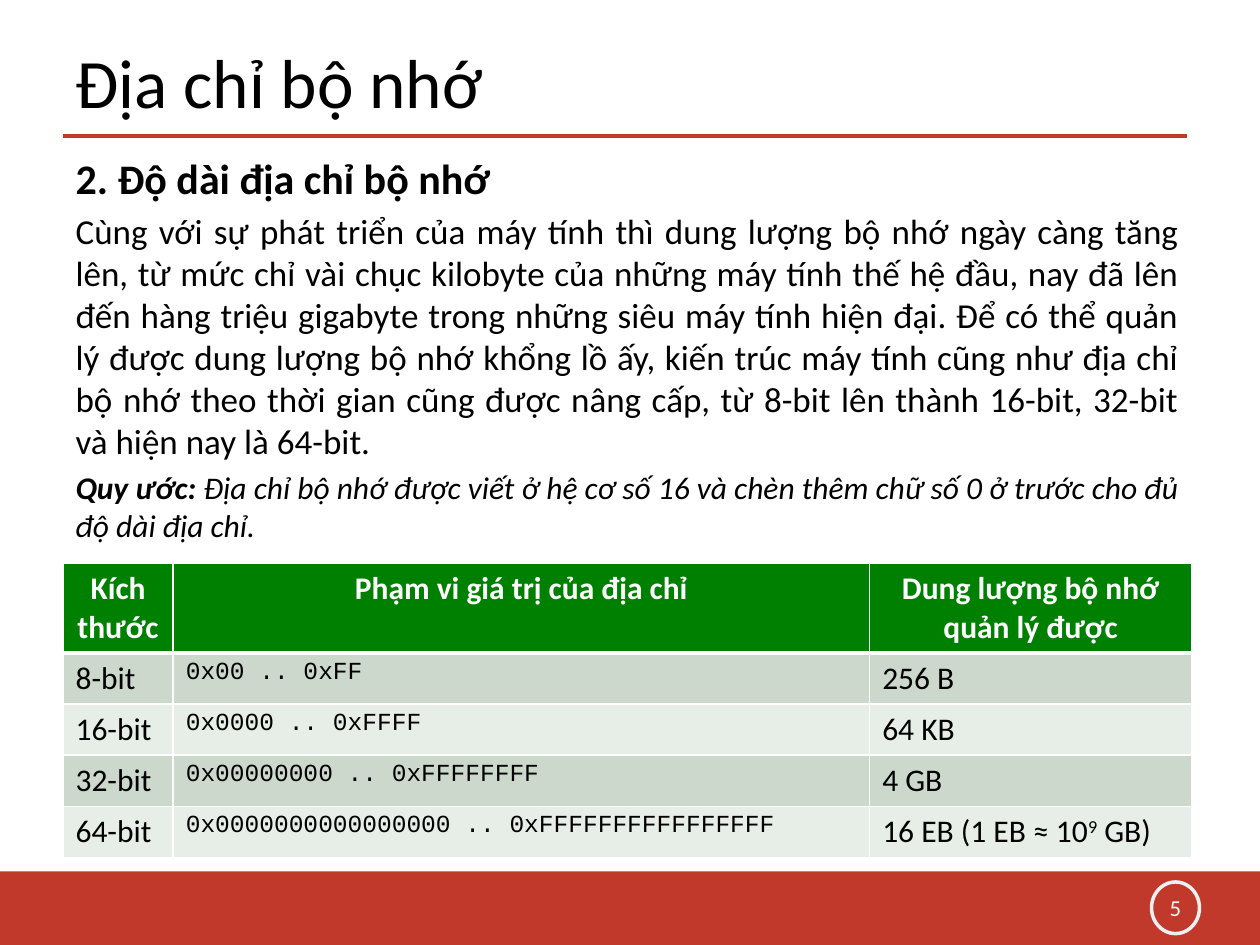
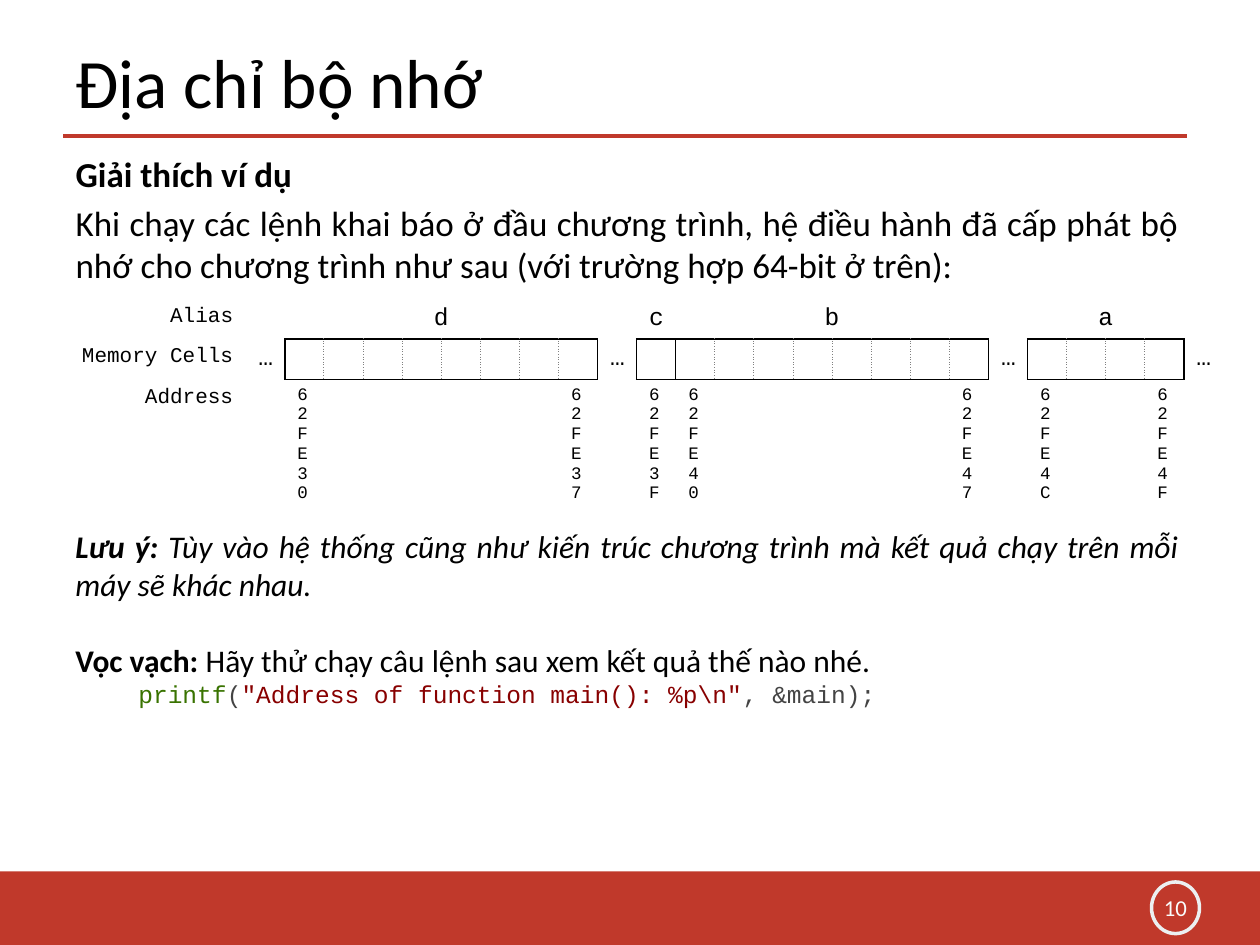
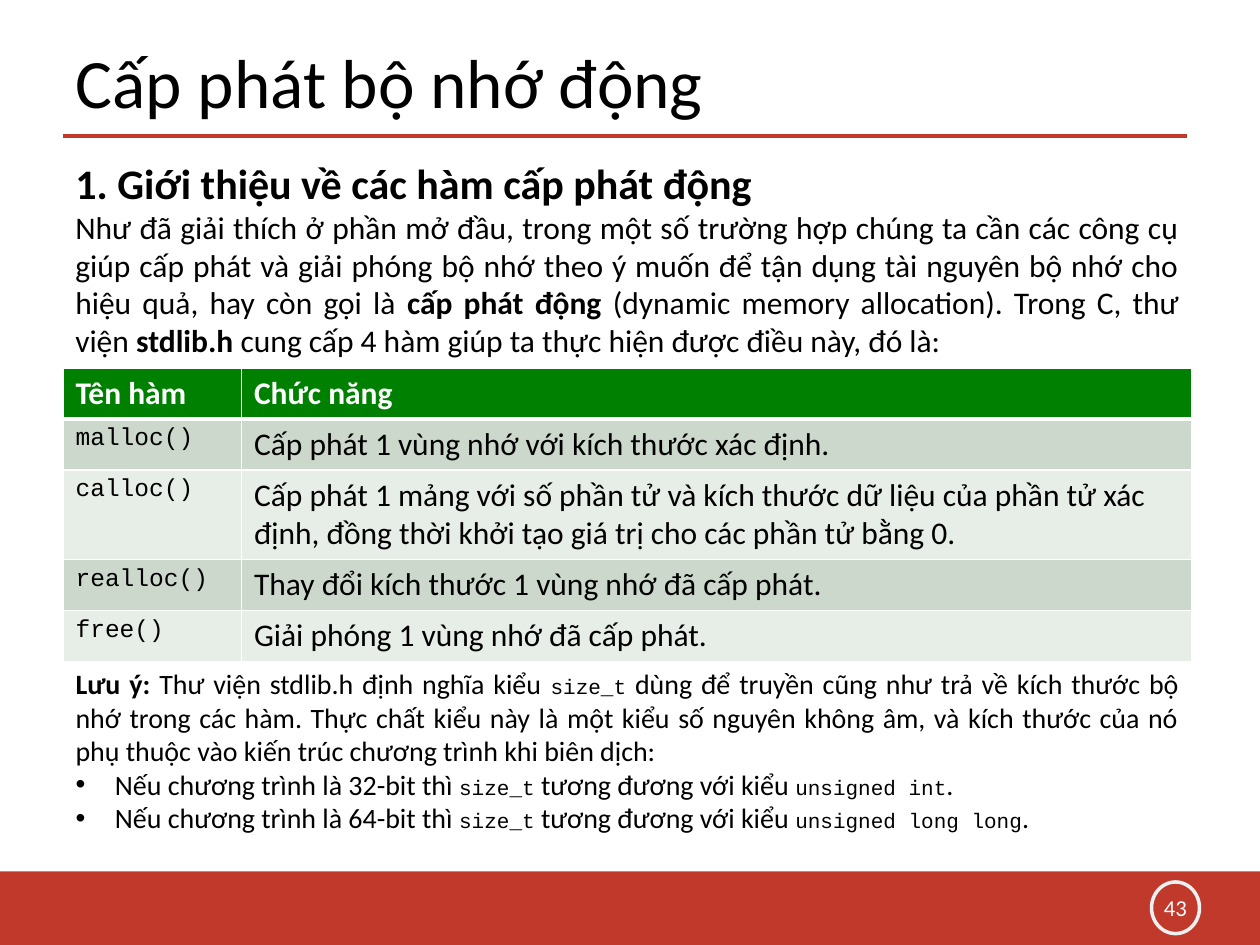
from lxml.etree import SubElement as Sub
from pptx import Presentation
from pptx.dml.color import RGBColor as Rgb
from pptx.enum.shapes import MSO_CONNECTOR as Link, MSO_SHAPE as Form
from pptx.enum.text import MSO_ANCHOR as Anchor, MSO_AUTO_SIZE as Fit, PP_ALIGN as Align
from pptx.oxml.ns import qn
from pptx.util import Pt

HUES = {
    "ink": "000000", "white": "FFFFFF", "red": "C0392B", "ring": "ECF0F1",
    "page": "FAFCFC", "head": "008000", "odd": "CCD8CC", "even": "E7EDE7",
    "dots": "808080", "call": "397300", "text": "880000", "code": "444444",
}
SANS, MONO = "Calibri", "Courier New"
BOLD = {"bold": True}
TYPE = {"name": MONO, "size": 12}
PLAIN = "{2D5ABB26-0587-4C30-8999-92F81FD0307C}"
LEFT, WIDE = 36, 645


def hue(name):
    return Rgb.from_string(HUES[name])


def style(font, name=None, size=None, color=None, bold=None, italic=None, lift=None):
    if name:
        font.name = name
    if size:
        font.size = Pt(size)
    if color:
        font.color.rgb = hue(color)
    if bold is not None:
        font.bold = bold
    if italic is not None:
        font.italic = italic
    if lift:
        font._element.set("baseline", str(lift * 1000))


def fill_par(par, *runs, align=Align.LEFT, gap=0, pad=0, dot=False, **look):
    base = {"name": SANS, "size": 18, "color": "ink", "bold": False} | look
    par.alignment = align
    par.space_before = Pt(gap)
    props = par._p.get_or_add_pPr()
    props.set("marL", str(Pt(pad)))
    props.set("indent", str(Pt(-pad if dot else 0)))
    if dot:
        Sub(props, qn("a:buChar"), char="•")
    else:
        Sub(props, qn("a:buNone"))
    style(par.font, **base)
    for item in runs:
        words, own = (item, {}) if isinstance(item, str) else item
        run = par.add_run()
        run.text = words
        style(run.font, **own)
    if not runs:
        Sub(par._p, qn("a:endParaRPr"), sz=str(base["size"] * 100))


def fill_box(shape, box, pars, anchor=Anchor.TOP):
    shape.left, shape.top, shape.width, shape.height = map(Pt, box)
    frame = shape.text_frame
    frame.word_wrap = True
    frame.auto_size = Fit.NONE
    frame.vertical_anchor = anchor
    for k, (runs, look) in enumerate(pars):
        par = frame.add_paragraph() if k else frame.paragraphs[0]
        fill_par(par, *runs, **look)


def add_text(slide, box, pars, anchor=Anchor.TOP):
    fill_box(slide.shapes.add_textbox(*map(Pt, box)), box, pars, anchor)


def add_form(slide, form, box):
    shape = slide.shapes.add_shape(form, *map(Pt, box))
    shape.shadow.inherit = False
    return shape


def add_foot(slide, box, page):
    x, y, w, h = box
    band = add_form(slide, Form.RECTANGLE, box)
    band.fill.solid()
    band.fill.fore_color.rgb = hue("red")
    band.line.fill.background()
    ring = add_form(slide, Form.OVAL, (x + w - 62, y + 6, 27.4, 29.5))
    ring.fill.background()
    ring.line.color.rgb = hue("ring")
    ring.line.width = Pt(2)
    look = {"size": 13, "color": "page", "align": Align.CENTER}
    add_text(slide, (x + w - 66.3, y + 9, 36, 23), [([page], look)], Anchor.MIDDLE)


def add_page(deck, title, page):
    slide = deck.slides.add_slide(deck.slide_layouts[1])
    fill_box(slide.shapes.title, (LEFT, 21.6, 576, 49.7),
             [([title], {"size": 39.6})], Anchor.MIDDLE)
    rule = slide.shapes.add_connector(Link.STRAIGHT, Pt(LEFT), Pt(77.8), Pt(678.2), Pt(77.8))
    rule.line.color.rgb = hue("red")
    rule.line.width = Pt(2.25)
    Sub(rule._element.spPr, qn("a:effectLst"))
    add_foot(slide, (0, 498, 720, 42), page)
    return slide


def add_edges(cell, **sides):
    props = cell._tc.get_or_add_tcPr()
    for side in "LRTB":
        if side in sides:
            color, width, dash = sides[side]
            edge = Sub(props, qn("a:ln" + side), w=str(Pt(width)))
            paint = Sub(edge, qn("a:solidFill"))
            Sub(paint, qn("a:srgbClr"), val=HUES[color])
            Sub(edge, qn("a:prstDash"), val=dash)


def add_grid(slide, spot, cols, rows):
    x, y = spot
    box = map(Pt, (x, y, sum(cols), sum(rows)))
    grid = slide.shapes.add_table(len(rows), len(cols), *box).table
    grid._tbl.tblPr.find(qn("a:tableStyleId")).text = PLAIN
    grid.horz_banding = False
    for part, width in zip(grid.columns, cols):
        part.width = Pt(width)
    for part, height in zip(grid.rows, rows):
        part.height = Pt(height)
    return grid


def add_list(slide, spot, cols, rows, data, code, align):
    grid = add_grid(slide, spot, cols, rows)
    thin, thick = ("white", 1, "solid"), ("white", 3, "solid")
    for r, row in enumerate(data):
        for c, runs in enumerate(row):
            cell = grid.cell(r, c)
            add_edges(cell, L=thin, R=thin, T=thick if r == 1 else thin,
                      B=thin if r else thick)
            cell.fill.solid()
            cell.fill.fore_color.rgb = hue(("odd" if r % 2 else "even") if r else "head")
            if r == 0:
                look = {"color": "white", "bold": True, "align": align}
            elif c == code:
                look = {"name": MONO, "size": 14}
            else:
                look = {}
            runs = [runs] if isinstance(runs, str) else runs
            fill_par(cell.text_frame.paragraphs[0], *runs, **look)


def add_cells(slide, spot):
    blocks = [("d", 8, "62FE30", "62FE37", 1), ("c", 1, "62FE3F", "62FE3F", 0),
              ("b", 8, "62FE40", "62FE47", 1), ("a", 4, "62FE4C", "62FE4F", 1)]
    grid = add_grid(slide, spot, [104.4] + [22.34] * 25, [23, 23, 81])
    words = {}
    for r, label in enumerate(["Alias", "Memory Cells", "Address"]):
        words[r, 0] = label, 12, Align.RIGHT
    words[1, 1] = "…", 14, Align.LEFT
    solid, faint = ("ink", 1, "solid"), ("dots", 0.5, "sysDot")
    start = 2
    for name, count, first, last, gap in blocks:
        end = start + count - 1
        words[0, start] = name, 14, Align.CENTER if count > 1 else Align.LEFT
        words[2, start] = first, 10, Align.LEFT
        words[2, end] = last, 10, Align.LEFT
        for c in range(start, end + 1):
            add_edges(grid.cell(0, c), B=solid)
            add_edges(grid.cell(1, c), T=solid, B=solid,
                      L=solid if c == start else faint,
                      R=solid if c == end else faint)
            add_edges(grid.cell(2, c), T=solid)
        if count > 1:
            grid.cell(0, start).merge(grid.cell(0, end))
        if gap:
            words[1, end + 1] = "…", 14, Align.LEFT
        start = end + 1 + gap
    for r in range(3):
        for c in range(26):
            text, size, align = words.get((r, c), ("", 10, Align.LEFT))
            fill_par(grid.cell(r, c).text_frame.paragraphs[0], *([text] if text else []),
                     name=MONO, size=size, align=align)


def add_sizes(deck):
    slide = add_page(deck, "Địa chỉ bộ nhớ", "5")
    both = {"align": Align.JUSTIFY}
    fill_box(slide.placeholders[1], (LEFT, 83.5, WIDE, 239), [
        (["2. Độ dài địa chỉ bộ nhớ"], both | BOLD | {"size": 24, "gap": 4.8}),
        (["Cùng với sự phát triển của máy tính thì dung lượng bộ nhớ ngày càng tăng lên, "
          "từ mức chỉ vài chục kilobyte của những máy tính thế hệ đầu, nay đã lên đến "
          "hàng triệu gigabyte trong những siêu máy tính hiện đại. Để có thể quản lý được "
          "dung lượng bộ nhớ khổng lồ ấy, kiến trúc máy tính cũng như địa chỉ bộ nhớ theo "
          "thời gian cũng được nâng cấp, từ 8-bit lên thành 16-bit, 32-bit và hiện nay là "
          "64-bit."], both | {"size": 20, "gap": 4}),
        ([("Quy ước: ", BOLD), "Địa chỉ bộ nhớ được viết ở hệ cơ số 16 và chèn thêm "
          "chữ số 0 ở trước cho đủ độ dài địa chỉ."], both | {"italic": True, "gap": 3.6}),
    ])
    sizes = ["256 B", "64 KB", "4 GB", ["16 EB (1 EB ≈ 10", ("9", {"lift": 30}), " GB)"]]
    data = [("Kích thước", "Phạm vi giá trị của địa chỉ", "Dung lượng bộ nhớ quản lý được")]
    for k, size in enumerate(sizes):
        bits = 8 * 2 ** k
        data.append((f"{bits}-bit", f"0x{'0' * (bits // 4)} .. 0x{'F' * (bits // 4)}", size))
    add_list(slide, (LEFT, 322), [63, 398, 184], [50.4] + [29.2] * 4, data, 1, Align.CENTER)


def add_sample(deck):
    slide = add_page(deck, "Địa chỉ bộ nhớ", "10")
    both = {"align": Align.JUSTIFY}
    fill_box(slide.placeholders[1], (LEFT, 83.5, WIDE, 87), [
        (["Giải thích ví dụ"], both | BOLD | {"size": 20, "gap": 4}),
        (["Khi chạy các lệnh khai báo ở đầu chương trình, hệ điều hành đã cấp phát bộ nhớ "
          "cho chương trình như sau (với trường hợp 64-bit ở trên):"],
         both | {"size": 20, "gap": 4}),
    ])
    add_cells(slide, (LEFT, 170.6))
    add_text(slide, (LEFT, 297.5, WIDE, 112), [
        ([("Lưu ý: ", BOLD), "Tùy vào hệ thống cũng như kiến trúc chương trình mà kết quả "
          "chạy trên mỗi máy sẽ khác nhau."], both | {"italic": True}),
        ([("Vọc vạch: ", BOLD), "Hãy thử chạy câu lệnh sau xem kết quả thế nào nhé."],
         both | {"gap": 22}),
        ([("printf", {"color": "call"}), "(",
          ('"Address of function main(): %p\\n"', {"color": "text"}), ", &main);"],
         both | {"name": MONO, "size": 14, "color": "code", "pad": 36}),
    ])


def add_calls(deck):
    slide = add_page(deck, "Cấp phát bộ nhớ động", "43")
    both = {"align": Align.JUSTIFY}
    add_text(slide, (LEFT, 86.4, WIDE, 124), [
        (["1. Giới thiệu về các hàm cấp phát động"], both | BOLD | {"size": 24}),
        (["Như đã giải thích ở phần mở đầu, trong một số trường hợp chúng ta cần các công cụ "
          "giúp cấp phát và giải phóng bộ nhớ theo ý muốn để tận dụng tài nguyên bộ nhớ cho "
          "hiệu quả, hay còn gọi là ", ("cấp phát động", BOLD),
          " (dynamic memory allocation). Trong C, thư viện ", ("stdlib.h", BOLD),
          " cung cấp 4 hàm giúp ta thực hiện được điều này, đó là:"], both),
    ])
    data = [
        ("Tên hàm", "Chức năng"),
        ("malloc()", "Cấp phát 1 vùng nhớ với kích thước xác định."),
        ("calloc()", "Cấp phát 1 mảng với số phần tử và kích thước dữ liệu của phần tử xác "
         "định, đồng thời khởi tạo giá trị cho các phần tử bằng 0."),
        ("realloc()", "Thay đổi kích thước 1 vùng nhớ đã cấp phát."),
        ("free()", "Giải phóng 1 vùng nhớ đã cấp phát."),
    ]
    add_list(slide, (LEFT, 210.2), [102, 543], [29.2, 29.2, 50.4, 29.2, 29.2],
             data, 0, Align.LEFT)
    note = both | {"size": 16}
    pars = [([("Lưu ý:", BOLD), " Thư viện stdlib.h định nghĩa kiểu ", ("size_t", TYPE),
              " dùng để truyền cũng như trả về kích thước bộ nhớ trong các hàm. Thực chất "
              "kiểu này là một kiểu số nguyên không âm, và kích thước của nó phụ thuộc vào "
              "kiến trúc chương trình khi biên dịch:"], note)]
    for bits, kind in [(32, "unsigned int"), (64, "unsigned long long")]:
        pars.append(([f"Nếu chương trình là {bits}-bit thì ", ("size_t", TYPE),
                      " tương đương với kiểu ", (kind, TYPE), "."],
                     note | {"pad": 22.5, "dot": True}))
    fill_box(slide.placeholders[1], (LEFT, 377.3, WIDE, 104.4), pars)


def main():
    deck = Presentation()
    deck.slide_width, deck.slide_height = Pt(720), Pt(540)
    add_sizes(deck)
    add_sample(deck)
    add_calls(deck)
    deck.save("out.pptx")


if __name__ == "__main__":
    main()
